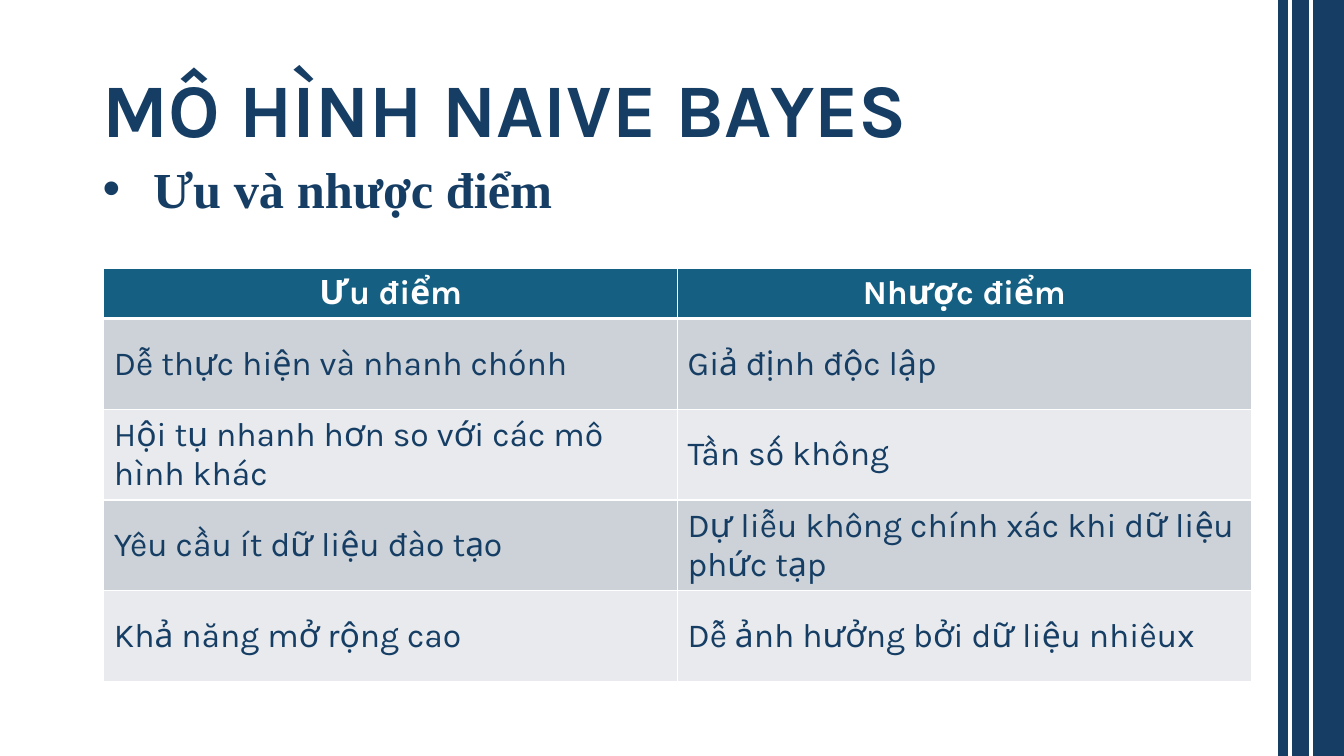
"""Build the slide on the pros and cons of the Naive Bayes model."""
from dataclasses import dataclass

from lxml import etree
from pptx import Presentation
from pptx import util as u
from pptx.dml.color import RGBColor
from pptx.enum import shapes, text
from pptx.oxml import ns

NAVY = RGBColor(0x16, 0x3E, 0x64)
TEAL = RGBColor(0x15, 0x60, 0x82)
WHITE = RGBColor(0xFF, 0xFF, 0xFF)
BANDS = (RGBColor(0xCC, 0xD2, 0xD8), RGBColor(0xE8, 0xEA, 0xED))
HEADER_HEIGHT, ROW_HEIGHT, COLUMN_WIDTH = 0.44, 0.9, 5.69


@dataclass(frozen=True)
class Stripe:
    left: float
    width: float


@dataclass(frozen=True)
class Label:
    words: str
    left: float
    top: float
    width: float
    height: float
    size: int
    font: str
    line_spacing: float = 1.0
    bullet: bool = False


STRIPES = (Stripe(13.03, 0.3), Stripe(12.83, 0.14), Stripe(12.69, 0.07))
LABELS = (
    Label("Ưu và nhược điểm", 0.92, 1.51, 7.33, 0.71, 36, "Times New Roman", bullet=True),
    Label("MÔ HÌNH NAIVE BAYES", 0.92, 0.4, 11.5, 1.45, 54, "Karla", line_spacing=0.9),
)
ROWS = (
    ("Ưu điểm", "Nhược điểm"),
    ("Dễ thực hiện và nhanh chónh", "Giả định độc lập"),
    ("Hội tụ nhanh hơn so với các mô hình khác", "Tần số không"),
    ("Yêu cầu ít dữ liệu đào tạo", "Dự liễu không chính xác khi dữ liệu phức tạp"),
    ("Khả năng mở rộng cao", "Dễ ảnh hưởng bởi dữ liệu nhiêux"),
)


def style_run(p, size: int, font: str, color: RGBColor, bold: bool) -> None:
    r = p.runs[0]
    r.font.size, r.font.name, r.font.bold = u.Pt(size), font, bold
    r.font.color.rgb = color


def add_stripe(s, stripe: Stripe) -> None:
    sp = s.shapes.add_shape(shapes.MSO_SHAPE.RECTANGLE, u.Inches(stripe.left), 0,
                            u.Inches(stripe.width), u.Inches(7.5))
    sp.shadow.inherit = False
    sp.fill.solid()
    sp.fill.fore_color.rgb = NAVY
    sp.line.color.rgb = NAVY
    sp.line.width = u.Pt(1.5)


def add_label(s, label: Label) -> None:
    sp = s.shapes.add_textbox(u.Inches(label.left), u.Inches(label.top),
                              u.Inches(label.width), u.Inches(label.height))
    tf = sp.text_frame
    tf.word_wrap = True
    tf.vertical_anchor = text.MSO_ANCHOR.MIDDLE
    tf.text = label.words
    p = tf.paragraphs[0]
    p.line_spacing = label.line_spacing
    style_run(p, label.size, label.font, NAVY, True)
    if label.bullet:
        pPr = p._p.get_or_add_pPr()
        pPr.set("marL", str(u.Inches(0.5)))
        pPr.set("indent", str(u.Inches(-0.5)))
        etree.SubElement(pPr, ns.qn("a:buFont"), typeface="Arial")
        etree.SubElement(pPr, ns.qn("a:buChar"), char="•")


def add_borders(cell, top: int, bottom: int) -> None:
    tcPr = cell._tc.get_or_add_tcPr()
    for side, width in (("L", 1), ("R", 1), ("T", top), ("B", bottom)):
        ln = etree.SubElement(tcPr, ns.qn(f"a:ln{side}"), w=str(u.Pt(width)))
        fill = etree.SubElement(ln, ns.qn("a:solidFill"))
        etree.SubElement(fill, ns.qn("a:srgbClr"), val=str(WHITE))


def fill_cell(cell, words: str, row: int) -> None:
    header = row == 0
    add_borders(cell, top=3 if row == 1 else 1, bottom=3 if header else 1)
    cell.fill.solid()
    cell.fill.fore_color.rgb = TEAL if header else BANDS[(row - 1) % 2]
    cell.vertical_anchor = text.MSO_ANCHOR.MIDDLE
    cell.text_frame.text = words
    p = cell.text_frame.paragraphs[0]
    p.alignment = text.PP_ALIGN.CENTER if header else text.PP_ALIGN.LEFT
    style_run(p, 24, "Karla", WHITE if header else NAVY, header)


def add_comparison(s) -> None:
    height = HEADER_HEIGHT + ROW_HEIGHT * (len(ROWS) - 1)
    table = s.shapes.add_table(len(ROWS), 2, u.Inches(1.03), u.Inches(2.66),
                               u.Inches(2 * COLUMN_WIDTH), u.Inches(height)).table
    for i, row in enumerate(ROWS):
        table.rows[i].height = u.Inches(ROW_HEIGHT if i else HEADER_HEIGHT)
        for j, words in enumerate(row):
            fill_cell(table.cell(i, j), words, i)


def main() -> None:
    prs = Presentation()
    prs.slide_width, prs.slide_height = u.Inches(13.33), u.Inches(7.5)
    s = prs.slides.add_slide(prs.slide_layouts[6])
    for stripe in STRIPES:
        add_stripe(s, stripe)
    for label in LABELS:
        add_label(s, label)
    add_comparison(s)
    prs.save("out.pptx")


if __name__ == "__main__":
    main()
